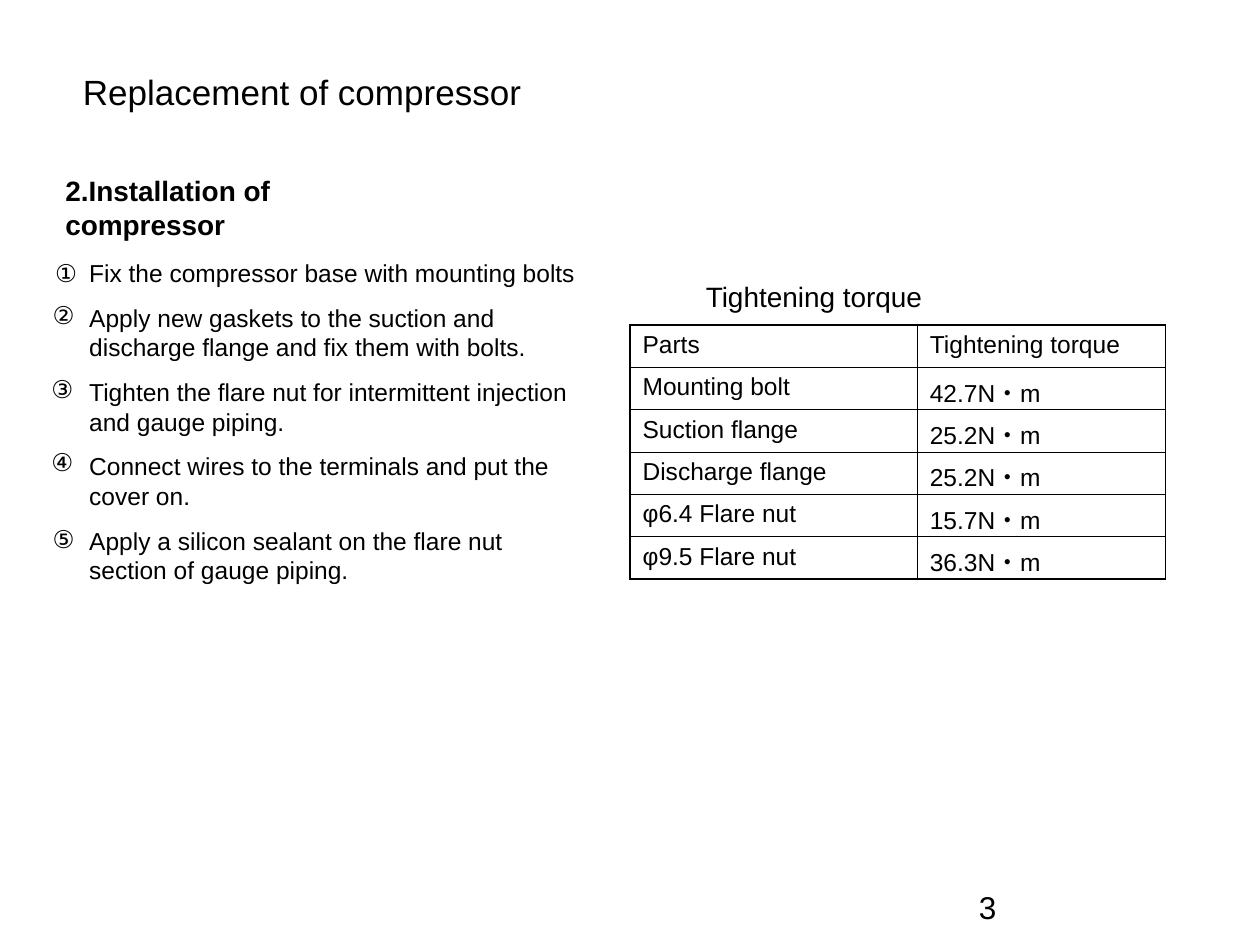
"""Build the slide on installing a compressor, with its torque table."""
from lxml import etree
from pptx import Presentation
from pptx.dml.color import RGBColor
from pptx.enum import text as t
from pptx.oxml import ns
from pptx.util import Inches, Pt

BLACK = RGBColor(0x00, 0x00, 0x00)
FONT = "Arial"
OUTER, INNER = 1.08, 0.45

STEPS = [
    ("①", 0.34, 2.0, "Fix the compressor base with mounting bolts"),
    ("②", 0.32, 2.33, "Apply new gaskets to the suction and discharge flange and fix them with bolts."),
    ("③", 0.31, 2.92, "Tighten the flare nut for intermittent injection and gauge piping."),
    ("④", 0.31, 3.5, "Connect wires to the terminals and put the cover on."),
    ("⑤", 0.32, 4.11, "Apply a silicon sealant on the flare nut section of gauge piping."),
]
TORQUES = [
    ("Parts", "Tightening torque"),
    ("Mounting bolt", "42.7N・m"),
    ("Suction flange", "25.2N・m"),
    ("Discharge flange", "25.2N・m"),
    ("φ6.4 Flare nut", "15.7N・m"),
    ("φ9.5 Flare nut", "36.3N・m"),
]


def write(frame, lines, size=14, bold=False, align=t.PP_ALIGN.LEFT, gap=0):
    """Fill a text frame with one paragraph per line in a shared format."""
    for index, line in enumerate(lines):
        paragraph = frame.add_paragraph() if index else frame.paragraphs[0]
        paragraph.alignment = align
        if index and gap:
            paragraph.space_before = Pt(gap)
        run = paragraph.add_run()
        run.text = line
        run.font.name = FONT
        run.font.size = Pt(size)
        run.font.bold = bold
        run.font.color.rgb = BLACK


def add_text(slide, left, top, width, height, *lines, wrap=False, fit=True, **style):
    """Add a text box holding the given lines."""
    frame = slide.shapes.add_textbox(
        Inches(left), Inches(top), Inches(width), Inches(height)).text_frame
    frame.word_wrap = wrap
    frame.auto_size = t.MSO_AUTO_SIZE.SHAPE_TO_FIT_TEXT if fit else t.MSO_AUTO_SIZE.NONE
    write(frame, lines, **style)


def set_border(cell, side, width):
    """Draw one side (L, R, T or B) of a cell as a solid line."""
    properties = cell._tc.get_or_add_tcPr()
    line = etree.SubElement(properties, ns.qn(f"a:ln{side}"), w=str(Pt(width)))
    fill = etree.SubElement(line, ns.qn("a:solidFill"))
    etree.SubElement(fill, ns.qn("a:srgbClr"), val=str(BLACK))


def add_torque_table(slide, left, top, widths, row_height):
    """Add the torque table with a heavier outer frame."""
    last_row, last_column = len(TORQUES) - 1, len(widths) - 1
    table = slide.shapes.add_table(
        len(TORQUES), len(widths), Inches(left), Inches(top),
        Inches(sum(widths)), Inches(row_height * len(TORQUES))).table
    table.first_row = table.horz_banding = False
    for column, width in zip(table.columns, widths):
        column.width = Inches(width)
    for r, values in enumerate(TORQUES):
        for c, value in enumerate(values):
            cell = table.cell(r, c)
            write(cell.text_frame, [value])
            edges = {"L": c == 0, "R": c == last_column, "T": r == 0, "B": r == last_row}
            for side, on_frame in edges.items():
                set_border(cell, side, OUTER if on_frame else INNER)
            cell.fill.background()


def main():
    """Assemble and save the slide."""
    presentation = Presentation()
    presentation.slide_width, presentation.slide_height = Inches(10), Inches(7.5)
    slide = presentation.slides.add_slide(presentation.slide_layouts[6])
    centre = t.PP_ALIGN.CENTER
    add_text(slide, 0.56, 0.51, 3.68, 0.44, "Replacement of compressor", size=20)
    add_text(slide, 0.42, 1.33, 3.15, 0.37, "2.Installation of compressor", size=16, bold=True)
    add_text(slide, 0.61, 2, 4.06, 2.69, *(step[-1] for step in STEPS), wrap=True, gap=8.8)
    for number, left, top, _ in STEPS:
        add_text(slide, left, top, 0.37, 0.34, number, align=centre)
    add_torque_table(slide, 5, 2.58, (2.28, 1.97), 0.336)
    add_text(slide, 5.5, 2.17, 1.92, 0.37, "Tightening torque", size=16, align=centre)
    add_text(slide, 7.67, 7, 2.08, 0.5, "3", size=18, wrap=True, fit=False)
    presentation.save("out.pptx")


if __name__ == "__main__":
    main()
